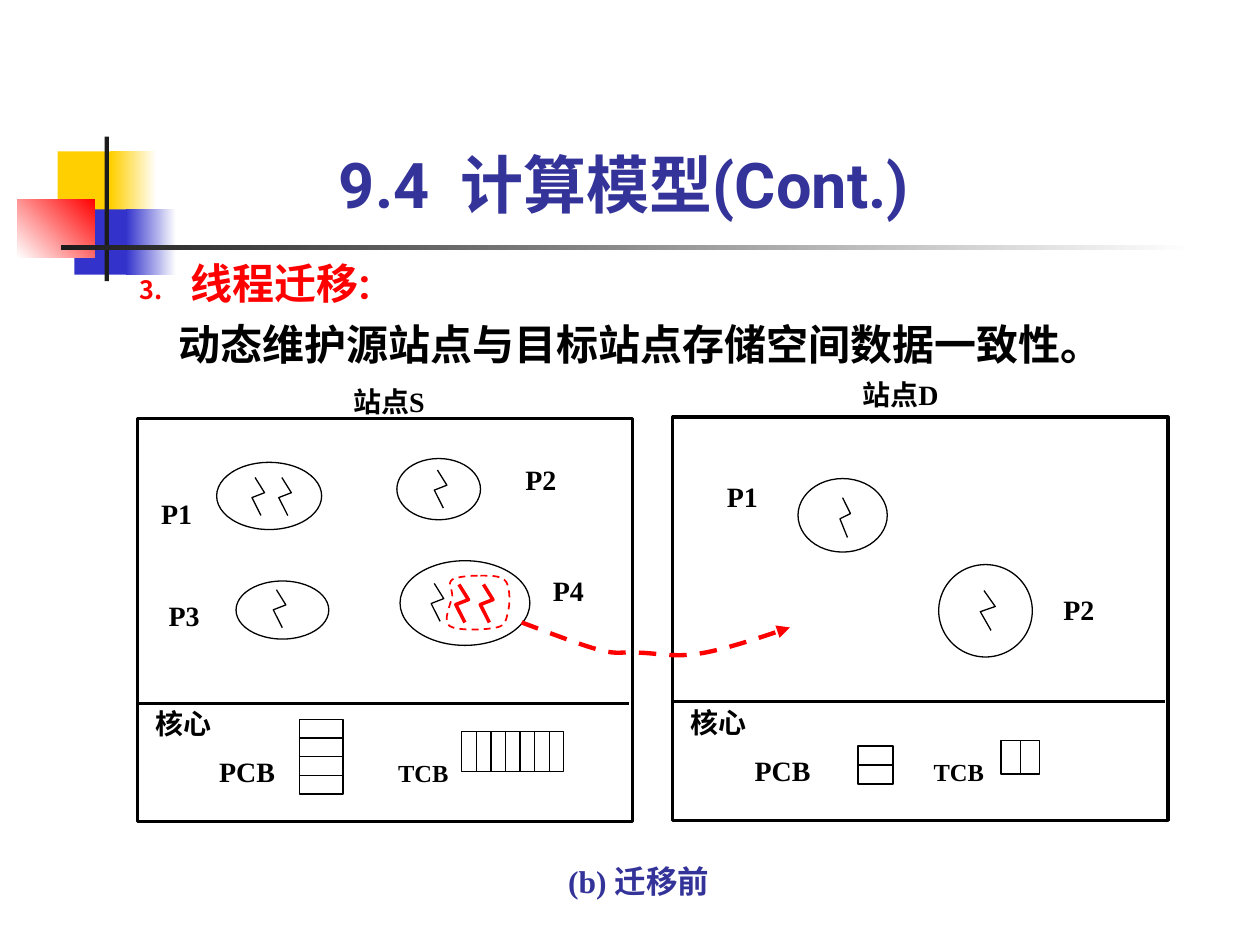
from lxml.etree import SubElement
from pptx import Presentation
from pptx.dml.color import RGBColor
from pptx.enum.dml import MSO_LINE
from pptx.enum.shapes import MSO_CONNECTOR, MSO_SHAPE
from pptx.enum.text import MSO_ANCHOR, MSO_AUTO_SIZE, PP_ALIGN
from pptx.oxml.ns import qn
from pptx.util import Pt

COLORS = {
    "black": "000000", "white": "FFFFFF", "red": "FF0000", "yellow": "FFCF01",
    "blue": "3333CC", "indigo": "333399", "charcoal": "1C1C1C",
}
SERIF, SANS, CJK = "Times New Roman", "Roboto", "Noto Sans CJK SC"
ZIGZAG = [(0.25, 0), (1, 0.4), (0, 0.53), (0.72, 1)]


def rgb(name):
    return RGBColor.from_string(COLORS[name])


def pts(values):
    return [Pt(v) for v in values]


# Text
def write(paragraph, text, size=16, font=SERIF, color="black", align=None):
    run = paragraph.add_run()
    run.text = text
    run.font.size = Pt(size)
    run.font.bold = True
    run.font.color.rgb = rgb(color)
    run.font.name = font
    SubElement(run.font._element, qn("a:ea"), typeface=CJK)
    paragraph.alignment = align


def prepare(frame, margins=(0, 0)):
    frame.word_wrap = True
    frame.auto_size = MSO_AUTO_SIZE.NONE
    frame.margin_left = frame.margin_right = Pt(margins[0])
    frame.margin_top = frame.margin_bottom = Pt(margins[1])


def label(slide, box, text, margins=(1.4, 0.7), **style):
    frame = slide.shapes.add_textbox(*pts(box)).text_frame
    prepare(frame, margins)
    write(frame.paragraphs[0], text, **style)


def caption(slide, box, text, **style):
    label(slide, box, text, margins=(7.2, 3.6), align=PP_ALIGN.CENTER, **style)


# Shapes and lines
def block(slide, box, *colors, angle=180):
    """A borderless rectangle, plain or shaded from one color to the next."""
    shape = slide.shapes.add_shape(MSO_SHAPE.RECTANGLE, *pts(box))
    shape.shadow.inherit = False
    shape.line.fill.background()
    if len(colors) == 1:
        shape.fill.solid()
        shape.fill.fore_color.rgb = rgb(colors[0])
        return
    shape.fill.gradient()
    shape.fill.gradient_angle = angle
    for stop, color, position in zip(shape.fill.gradient_stops, colors, (0, 1)):
        stop.color.rgb = rgb(color)
        stop.position = position


def stroke(shape, width=0.75, color="black"):
    shape.line.width = Pt(width)
    shape.line.color.rgb = rgb(color)


def outline(slide, kind, box, width=0.75):
    shape = slide.shapes.add_shape(kind, *pts(box))
    shape.shadow.inherit = False
    shape.fill.background()
    stroke(shape, width)


def straight(slide, start, end, width=0.75):
    line = slide.shapes.add_connector(MSO_CONNECTOR.STRAIGHT, *pts(start + end))
    stroke(line, width)
    SubElement(line._element.spPr, qn("a:effectLst"))


def path(slide, points, width, color, closed=False):
    first, *rest = [pts(p) for p in points]
    builder = slide.shapes.build_freeform(*first)
    builder.add_line_segments(rest, close=closed)
    shape = builder.convert_to_shape()
    shape.shadow.inherit = False
    shape.fill.background()
    stroke(shape, width, color)
    return shape


def curve(slide, knots, width, closed=False, steps=8):
    """A dashed red line through chained cubic Bezier segments."""
    points = [knots[0]]
    for i in range(0, len(knots) - 1, 3):
        segment = knots[i:i + 4]
        for n in range(1, steps + 1):
            t = n / steps
            weights = ((1 - t) ** 3, 3 * t * (1 - t) ** 2, 3 * t * t * (1 - t), t ** 3)
            points.append(tuple(sum(w * k[axis] for w, k in zip(weights, segment))
                                for axis in (0, 1)))
    shape = path(slide, points, width, "red", closed)
    shape.line.dash_style = MSO_LINE.DASH
    return shape


# Diagram parts
def thread(slide, x, y, width=0.75, color="black", size=(7.2, 21.7)):
    path(slide, [(x + fx * size[0], y + fy * size[1]) for fx, fy in ZIGZAG], width, color)


def control_blocks(slide, box, rows=1, columns=1):
    x, y, w, h = box
    outline(slide, MSO_SHAPE.RECTANGLE, box)
    for i in range(1, rows):
        straight(slide, (x, y + h * i / rows), (x + w, y + h * i / rows))
    for i in range(1, columns):
        straight(slide, (x + w * i / columns, y), (x + w * i / columns, y + h))


def site(slide, x, y):
    outline(slide, MSO_SHAPE.RECTANGLE, (x, y, 283, 230.5), 1.75)
    straight(slide, (x, y + 162.8), (x + 281, y + 162.8), 1.75)
    caption(slide, (x - 2.3, y + 161.2, 57, 32), "核心", font=CJK)
    label(slide, (x + 45.4, y + 191.5, 42, 21.6), "PCB")
    label(slide, (x + 147.6, y + 193.3, 38, 21.6), "TCB", size=14)


def main():
    prs = Presentation()
    prs.slide_width, prs.slide_height = Pt(720), Pt(540)
    slide = prs.slides.add_slide(prs.slide_layouts[5])

    # Corner ornament and rule
    block(slide, (33, 86.5, 34.6, 37.4), "yellow")
    block(slide, (63.4, 86.5, 26, 37.4), "white", "yellow")
    block(slide, (42.5, 119.6, 33.1, 37.4), "blue")
    block(slide, (72, 119.6, 28.8, 37.4), "white", "blue")
    block(slide, (10, 113.8, 44.3, 33.4), "red", "white", angle=225)
    block(slide, (59.8, 78, 2.4, 82.7), "charcoal")
    block(slide, (34.6, 140.2, 648, 2.5), "white", "charcoal")

    # Title
    title = slide.shapes.title
    title.left, title.top, title.width, title.height = pts((193.7, 83.4, 366.5, 42.5))
    prepare(title.text_frame)
    title.text_frame.vertical_anchor = MSO_ANCHOR.BOTTOM
    heading = title.text_frame.paragraphs[0]
    heading.line_spacing = 0.8
    write(heading, "9.4  计算模型(Cont.)", size=36, font=SANS, color="indigo",
          align=PP_ALIGN.LEFT)

    # Numbered point and its explanation
    body = slide.shapes.add_textbox(*pts((80, 147, 565, 63))).text_frame
    prepare(body)
    point, detail = body.paragraphs[0], body.add_paragraph()
    point.line_spacing = detail.line_spacing = Pt(28.8)
    detail.space_before = Pt(6)
    props = point._p.get_or_add_pPr()
    props.set("marL", str(Pt(29)))
    props.set("indent", str(-Pt(29)))
    bullet_color = SubElement(props, qn("a:buClr"))
    SubElement(bullet_color, qn("a:srgbClr"), val=COLORS["red"])
    SubElement(props, qn("a:buSzPct"), val="60000")
    SubElement(props, qn("a:buAutoNum"), type="arabicPeriod", startAt="3")
    detail._p.get_or_add_pPr().set("marL", str(Pt(22)))
    write(point, "线程迁移:", size=24, font=SANS, color="red")
    write(detail, "动态维护源站点与目标站点存储空间数据一致性。", size=24, font=SANS)

    # Both sites with their kernel areas
    site(slide, 78.5, 239)
    site(slide, 384.5, 238.3)
    caption(slide, (188.8, 216, 67, 23), "站点S")
    caption(slide, (481.1, 212.4, 67, 23), "站点D")
    control_blocks(slide, (171, 411.1, 25, 42.6), rows=4)
    control_blocks(slide, (263.9, 418, 58.3, 23), columns=7)
    control_blocks(slide, (490.3, 426.4, 20, 21.6), rows=2)
    control_blocks(slide, (572, 423, 22, 19.4), columns=2)

    # Processes
    for box in [(123.8, 264.2, 60, 38.4), (226.8, 262, 47.8, 35),
                (134.9, 332, 53, 33.2), (228.6, 320.4, 74.2, 48.4),
                (456, 273.5, 51, 42), (536.4, 322.6, 53.5, 52.8)]:
        outline(slide, MSO_SHAPE.OVAL, box)
    for name, x, y in [("P1", 90.7, 283), ("P2", 298.8, 263.5), ("P3", 95, 341.3),
                       ("P4", 314.6, 326.9), ("P1", 414, 273.6), ("P2", 606.2, 337.7)]:
        label(slide, (x, y, 38, 20), name)

    # Threads, the migrating pair in red
    for x, y in [(144, 272.9), (159.3, 272.9), (248.2, 268.6), (156.2, 337), (246.4, 333.4)]:
        thread(slide, x, y)
    for x in (260.5, 274.5):
        thread(slide, x, 334, width=2, color="red")
    thread(slide, 480, 284.4, size=(6, 22.8))
    thread(slide, 560.2, 337.5, size=(8.5, 22.8))

    # Migration: dashed loop and arrow
    curve(slide, [(272.9, 329), (267.8, 329), (260.6, 329.8), (258.5, 331.2),
                  (255.6, 333.4), (258.5, 336.2), (258.5, 340.6),
                  (257.8, 344.9), (252.7, 355), (257, 357.8),
                  (261.4, 360.7), (277.9, 360), (283.7, 358.6),
                  (288.7, 357.8), (289.4, 354.2), (290.2, 349.9),
                  (291.6, 345.6), (291.6, 337), (289.4, 332.6),
                  (286.6, 328.3), (277.9, 329), (272.9, 329)], 1, closed=True)
    arrow = curve(slide, [(298.1, 355.7), (315.4, 362.2), (331.9, 368.6), (342.7, 371.5),
                          (354.2, 374.4), (355, 372.2), (364.3, 373),
                          (373.7, 373), (384.5, 375.8), (398.9, 373.7),
                          (413.3, 371.5), (432.7, 365), (451.4, 358.6)], 2.5)
    SubElement(arrow._element.spPr.find(qn("a:ln")), qn("a:tailEnd"), type="triangle")

    caption(slide, (309.9, 488.9, 110, 21), "(b) 迁移前", size=18, color="indigo")
    prs.save("out.pptx")


if __name__ == "__main__":
    main()
